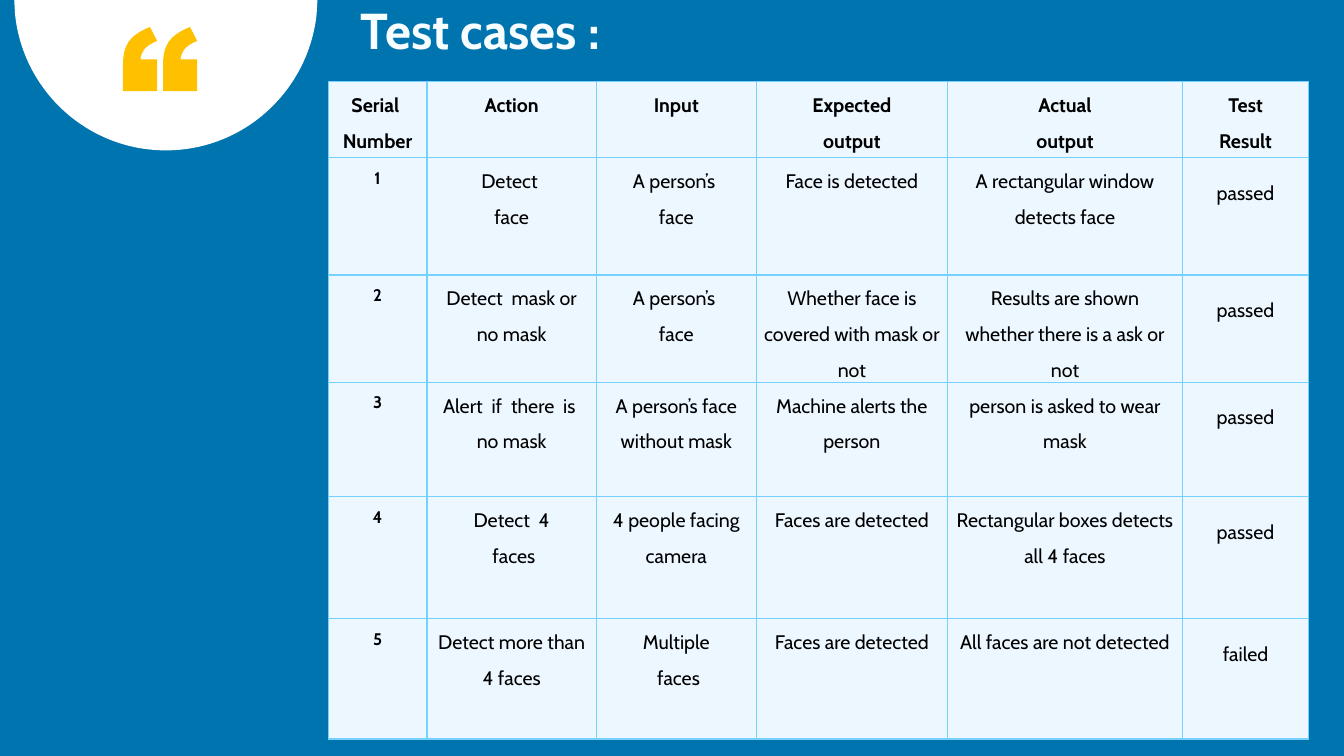
import itertools
from dataclasses import dataclass

import pptx
import pptx.dml.color
import pptx.enum.text
import pptx.oxml
import pptx.oxml.ns
import pptx.slide
import pptx.table
import pptx.util

Cm = pptx.util.Cm
Point = tuple[float, float]
Segment = list[Point]  # one point: corner; three points: cubic curve

FONT = "Cabin"
COLORS = {
    "background": "0074AF",
    "disc": "FFFFFF",
    "quote": "FFC000",
    "title": "F8FDFF",
    "title end": "FFFFFF",
    "cell": "ECF7FF",
    "border": "75D1FF",
    "text": "000000",
}


@dataclass
class TestCase:
    action: str
    given: str
    expected: str
    actual: str
    result: str
    height: float


@dataclass
class TextStyle:
    size: float = 14
    bold: bool = False
    line_spacing: float = 1.5


HEADERS = ["Serial  Number", "Action", "Input", "Expected\noutput", "Actual\noutput", "Test\nResult"]
HEADER_HEIGHT = 1.91
COLUMN_WIDTHS = [2.49, 4.27, 4.03, 4.82, 5.92, 3.18]
TEST_CASES = [
    TestCase("Detect \nface", "A person’s \nface", "Face is detected",
             "A rectangular window detects face", "passed", 2.96),
    TestCase("Detect  mask or no mask", "A person’s \nface", "Whether face is covered with mask or not",
             "Results are shown whether there is a ask or not", "passed", 2.7),
    TestCase("Alert  if  there  is  no mask", "A person’s face without mask", "Machine alerts the person",
             "person is asked to wear mask", "passed", 2.89),
    TestCase("Detect  4\n faces", "4 people facing camera", "Faces are detected",
             "Rectangular boxes detects all 4 faces", "passed", 3.07),
    TestCase("Detect more than 4 faces", "Multiple\n faces", "Faces are detected",
             "All faces are not detected", "failed", 3.03),
]
HEADER_STYLE = TextStyle(bold=True)
COLUMN_STYLES = [TextStyle(size=12, bold=True)] + [TextStyle()] * 4 + [TextStyle(line_spacing=2.0)]

# White half disc hanging from the top edge
DISC: list[Segment] = [
    [(0.36, 0)], [(8, 0)], [(7.98, 0.36)],
    [(7.77, 2.29), (6.15, 3.79), (4.18, 3.79)],
    [(2.21, 3.79), (0.58, 2.29), (0.38, 0.36)],
]
# One opening quotation mark
QUOTE_MARK: list[Segment] = [
    [(3.78, 0.68)], [(3.96, 1.03)],
    [(3.8, 1.1), (3.69, 1.17), (3.63, 1.25)],
    [(3.58, 1.32), (3.55, 1.4), (3.54, 1.5)],
    [(3.96, 1.5)], [(3.96, 2.3)], [(3.1, 2.3)], [(3.1, 1.63)],
    [(3.1, 1.37), (3.15, 1.19), (3.25, 1.04)],
    [(3.35, 0.91), (3.51, 0.79), (3.78, 0.68)],
]
QUOTE_SHIFT = 1.01


def rgb(name: str) -> pptx.dml.color.RGBColor:
    return pptx.dml.color.RGBColor.from_string(COLORS[name])


def add_outline(slide: pptx.slide.Slide, contours: list[list[Segment]], color: str) -> None:
    builder = None
    for contour in contours:
        points = [(Cm(x), Cm(y)) for x, y in itertools.chain.from_iterable(contour)]
        if builder is None:
            builder = slide.shapes.build_freeform(*points[0])
        else:
            builder.move_to(*points[0])
        builder.add_line_segments(points[1:], close=True)
    shape = builder.convert_to_shape()
    shape.shadow.inherit = False
    shape.fill.solid()
    shape.fill.fore_color.rgb = rgb(color)
    shape.line.fill.background()

    # Join the three points of each curved segment into one curve
    qn = pptx.oxml.ns.qn
    commands = (command for command in list(next(shape._element.iter(qn("a:path"))))
                if command.tag != qn("a:close"))
    for segment in itertools.chain.from_iterable(contours):
        group = list(itertools.islice(commands, len(segment)))
        if len(group) == 3:
            curve = pptx.oxml.parse_xml(f'<a:cubicBezTo {pptx.oxml.ns.nsdecls("a")}/>')
            group[0].addprevious(curve)
            for command in group:
                curve.append(command[0])
                command.getparent().remove(command)


def format_paragraph(paragraph, style: TextStyle, color: str, alignment) -> None:
    paragraph.alignment = alignment
    paragraph.line_spacing = style.line_spacing
    for run in paragraph.runs:
        run.font.name = FONT
        run.font.size = pptx.util.Pt(style.size)
        run.font.bold = style.bold
        run.font.color.rgb = rgb(color)


def add_borders(cell: pptx.table._Cell) -> None:
    properties = cell._tc.get_or_add_tcPr()
    for index, side in enumerate(("lnL", "lnR", "lnT", "lnB")):
        properties.insert(index, pptx.oxml.parse_xml(
            f'<a:{side} {pptx.oxml.ns.nsdecls("a")} w="12700"><a:solidFill>'
            f'<a:srgbClr val="{COLORS["border"]}"/></a:solidFill></a:{side}>'))


def fill_cell(cell: pptx.table._Cell, text: str, style: TextStyle) -> None:
    cell.margin_left = cell.margin_right = Cm(0.18)
    cell.margin_top = cell.margin_bottom = 0
    cell.fill.solid()
    cell.fill.fore_color.rgb = rgb("cell")
    add_borders(cell)
    cell.text_frame.text = text
    for paragraph in cell.text_frame.paragraphs:
        format_paragraph(paragraph, style, "text", pptx.enum.text.PP_ALIGN.CENTER)


def add_title(slide: pptx.slide.Slide) -> None:
    title = slide.shapes.title
    title.left, title.top, title.width, title.height = Cm(8.84), 0, Cm(11.6), Cm(1.65)
    frame = title.text_frame
    frame.text = "Test cases :"
    frame.auto_size = pptx.enum.text.MSO_AUTO_SIZE.SHAPE_TO_FIT_TEXT
    frame.vertical_anchor = pptx.enum.text.MSO_ANCHOR.MIDDLE
    paragraph = frame.paragraphs[0]
    format_paragraph(paragraph, TextStyle(36, True, 0.9), "title", pptx.enum.text.PP_ALIGN.LEFT)
    fill = paragraph.runs[0].font.fill
    fill.gradient()
    fill.gradient_angle = 270
    for stop, color in zip(fill.gradient_stops, ("title", "title end")):
        stop.color.rgb = rgb(color)


def add_test_table(slide: pptx.slide.Slide) -> None:
    heights = [HEADER_HEIGHT] + [case.height for case in TEST_CASES]
    table = slide.shapes.add_table(len(heights), len(HEADERS), Cm(8.27), Cm(2.06),
                                   Cm(sum(COLUMN_WIDTHS)), Cm(sum(heights))).table
    table.first_row = table.horz_banding = False
    for column, width in zip(table.columns, COLUMN_WIDTHS):
        column.width = Cm(width)
    for row, height in zip(table.rows, heights):
        row.height = Cm(height)

    for index, header in enumerate(HEADERS):
        fill_cell(table.cell(0, index), header, HEADER_STYLE)
    for number, case in enumerate(TEST_CASES, start=1):
        texts = [str(number), case.action, case.given, case.expected, case.actual, case.result]
        for index, (text, style) in enumerate(zip(texts, COLUMN_STYLES)):
            fill_cell(table.cell(number, index), text, style)


def main() -> None:
    presentation = pptx.Presentation()
    presentation.slide_width, presentation.slide_height = Cm(33.87), Cm(19.05)
    slide = presentation.slides.add_slide(presentation.slide_layouts.get_by_name("Title Only"))
    slide.background.fill.solid()
    slide.background.fill.fore_color.rgb = rgb("background")
    add_outline(slide, [DISC], "disc")
    add_title(slide)
    shifted_mark = [[(x + QUOTE_SHIFT, y) for x, y in segment] for segment in QUOTE_MARK]
    add_outline(slide, [shifted_mark, QUOTE_MARK], "quote")
    add_test_table(slide)
    presentation.save("out.pptx")


if __name__ == "__main__":
    main()
